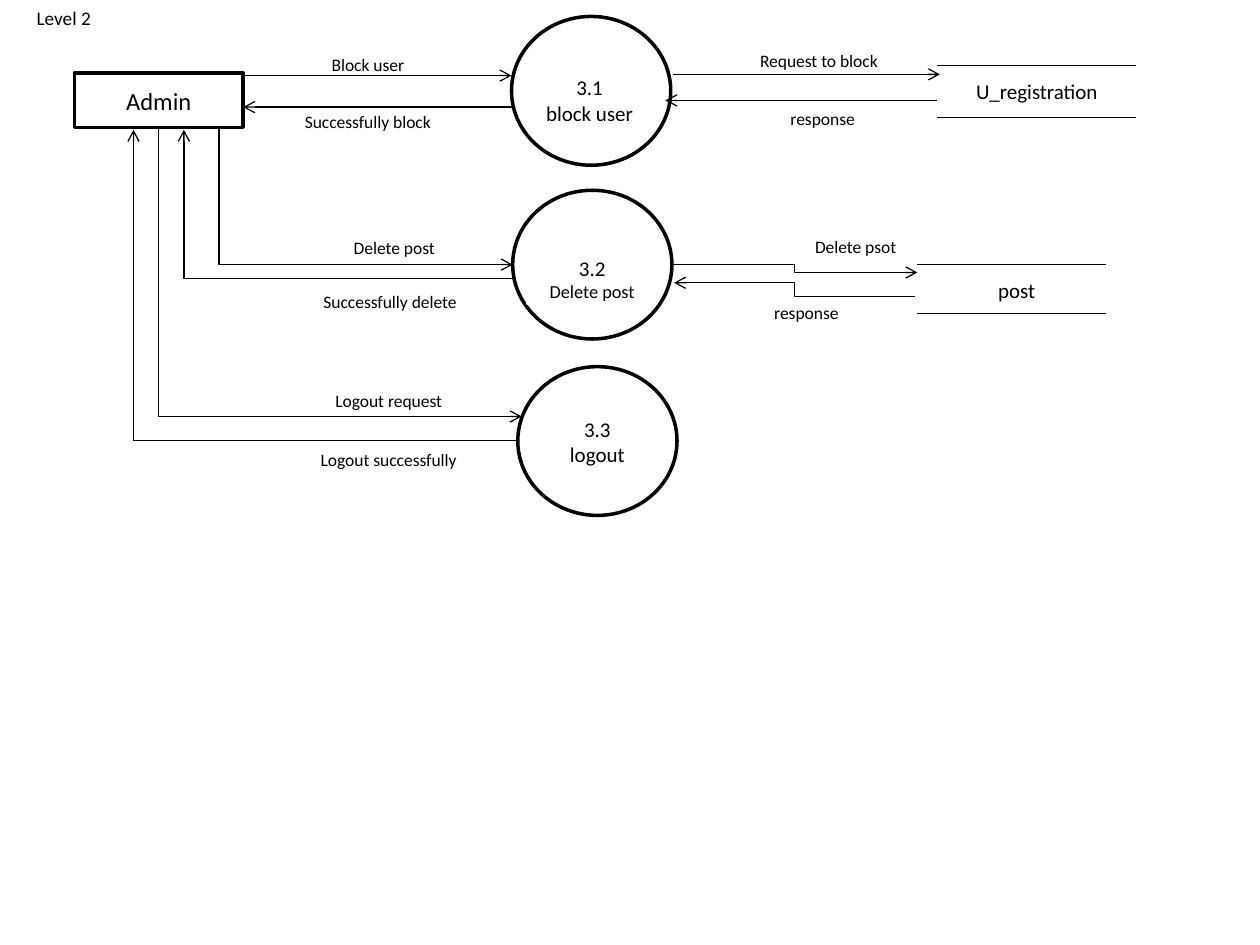
from typing import NamedTuple

from lxml.etree import SubElement
from pptx import Presentation
from pptx.dml.color import RGBColor
from pptx.enum.shapes import MSO_CONNECTOR, MSO_SHAPE
from pptx.enum.text import MSO_ANCHOR, PP_ALIGN
from pptx.oxml.ns import qn
from pptx.util import Pt

FONT = "Calibri"
BLACK, WHITE = "000000", "FFFFFF"
CIRCLE_W, CIRCLE_H = 91, 85
NAME_W, NAME_H = 73.4, 28
STORE_INSET, STORE_NAME_W, STORE_NAME_H = 10, 93.6, 20.2


class Line(NamedTuple):
    text: str
    size: float


class Process(NamedTuple):
    left: float
    top: float
    name_left: float
    name_top: float
    lines: list[Line]


class Store(NamedTuple):
    name: str
    left: float
    top: float
    width: float
    height: float


class Flow(NamedTuple):
    x1: float
    y1: float
    x2: float
    y2: float
    turn: float | None = None  # share of the width where an elbow turns


class Label(NamedTuple):
    text: str
    left: float
    top: float
    width: float = 66.2
    height: float = 10.1


PROCESSES = [
    Process(293, 108.7, 301.7, 145.4, [Line("3.2", 12), Line("Delete post", 10.5)]),
    Process(292.3, 9.4, 300.2, 43.2, [Line("3.1", 12), Line("block user", 12)]),
    Process(295.9, 209.5, 304.6, 238.3, [Line("3.3", 12), Line("logout", 12)]),
]
STORES = [
    Store("U_registration", 535.7, 37.4, 113.7, 29.6),
    Store("post", 524.2, 151.2, 108, 28.1),
]
FLOWS = [
    Flow(139, 43.2, 292.3, 43.2),
    Flow(384.5, 42.5, 537.1, 42.5),
    Flow(535.7, 57.4, 380.2, 57.4),
    Flow(294.5, 61.2, 139, 61.2),
    Flow(125.1, 72.7, 293, 151.2, 0),
    Flow(293, 159.3, 105.1, 74.2, 1),
    Flow(383.8, 151.2, 524.2, 155.7, 0.5),
    Flow(522.7, 169.4, 385.2, 161.6, 0.5),
    Flow(90.5, 72.7, 298.1, 238, 0),
    Flow(295.9, 251.8, 76.3, 74.2, 1),
]
LABELS = [
    Label("Block user", 177.1, 31.7),
    Label("Successfully block", 163.4, 62.6, 93.6, 13.7),
    Label("Request to block", 422.6, 31.7, 90.7, 5.8),
    Label("response", 437, 62.9),
    Label("Delete psot", 455.8, 135.7),
    Label("response", 427.7, 173.5),
    Label("Delete post", 192.2, 136.4),
    Label("Successfully delete", 172.1, 162.9, 101.5, 19.4),
    Label("Logout request", 170.6, 224.6, 103, 8.6),
    Label("Logout successfully", 170.6, 255.9, 103, 13.7),
]


def rgb(code: str) -> RGBColor:
    return RGBColor.from_string(code)


def add_run(paragraph, line: Line) -> None:
    run = paragraph.add_run()
    run.text = line.text
    run.font.name = FONT
    run.font.size = Pt(line.size)
    run.font.color.rgb = rgb(BLACK)


def add_box(slide, kind, left: float, top: float, width: float, height: float,
            border: str, lines: list[Line]) -> None:
    box = slide.shapes.add_shape(kind, Pt(left), Pt(top), Pt(width), Pt(height))
    box.shadow.inherit = False
    box.fill.solid()
    box.fill.fore_color.rgb = rgb(WHITE)
    box.line.color.rgb = rgb(border)
    box.line.width = Pt(2)
    frame = box.text_frame
    frame.word_wrap = True
    frame.vertical_anchor = MSO_ANCHOR.MIDDLE
    for index, line in enumerate(lines):
        paragraph = frame.add_paragraph() if index else frame.paragraphs[0]
        paragraph.alignment = PP_ALIGN.CENTER
        add_run(paragraph, line)


def add_line(slide, flow: Flow, arrow: bool = True) -> None:
    kind = MSO_CONNECTOR.STRAIGHT if flow.turn is None else MSO_CONNECTOR.ELBOW
    connector = slide.shapes.add_connector(
        kind, Pt(flow.x1), Pt(flow.y1), Pt(flow.x2), Pt(flow.y2))
    connector.line.color.rgb = rgb(BLACK)
    connector.line.width = Pt(0.75)
    properties = connector._element.spPr
    if arrow:
        SubElement(properties.find(qn("a:ln")), qn("a:tailEnd"), type="arrow")
    if flow.turn is not None:
        adjustments = properties.find(qn("a:prstGeom")).find(qn("a:avLst"))
        SubElement(adjustments, qn("a:gd"), name="adj1",
                   fmla=f"val {round(flow.turn * 100000)}")
    SubElement(properties, qn("a:effectLst"))


def add_store(slide, store: Store) -> None:
    for y in (store.top, store.top + store.height):
        add_line(slide, Flow(store.left, y, store.left + store.width, y), arrow=False)
    add_box(slide, MSO_SHAPE.RECTANGLE, store.left + STORE_INSET, store.top + 4.4,
            STORE_NAME_W, STORE_NAME_H, WHITE, [Line(store.name, 12)])


def add_level(slide) -> None:
    title = slide.shapes.title
    title._element.getparent().remove(title._element)
    level = slide.placeholders[1]
    level.left, level.top, level.width, level.height = Pt(13.7), Pt(0), Pt(692.6), Pt(525)
    paragraph = level.text_frame.paragraphs[0]
    add_run(paragraph, Line("Level 2", 11))
    properties = paragraph._p.get_or_add_pPr()
    properties.set("marL", "0")
    properties.set("indent", "0")
    SubElement(properties, qn("a:buNone"))


def main() -> None:
    deck = Presentation()
    deck.slide_width, deck.slide_height = Pt(720), Pt(540)
    slide = deck.slides.add_slide(deck.slide_layouts[1])
    add_level(slide)

    # Processes: circles first, then their names
    for process in PROCESSES:
        add_box(slide, MSO_SHAPE.OVAL, process.left, process.top,
                CIRCLE_W, CIRCLE_H, BLACK, [])
    for process in PROCESSES:
        add_box(slide, MSO_SHAPE.RECTANGLE, process.name_left, process.name_top,
                NAME_W, NAME_H, WHITE, process.lines)

    # External entity and data stores
    add_box(slide, MSO_SHAPE.RECTANGLE, 42.5, 41.8, 96.5, 31, BLACK, [Line("Admin", 14)])
    for store in STORES:
        add_store(slide, store)

    # Data flows and their labels
    for flow in FLOWS:
        add_line(slide, flow)
    for label in LABELS:
        add_box(slide, MSO_SHAPE.RECTANGLE, label.left, label.top,
                label.width, label.height, WHITE, [Line(label.text, 10)])

    deck.save("out.pptx")


if __name__ == "__main__":
    main()
